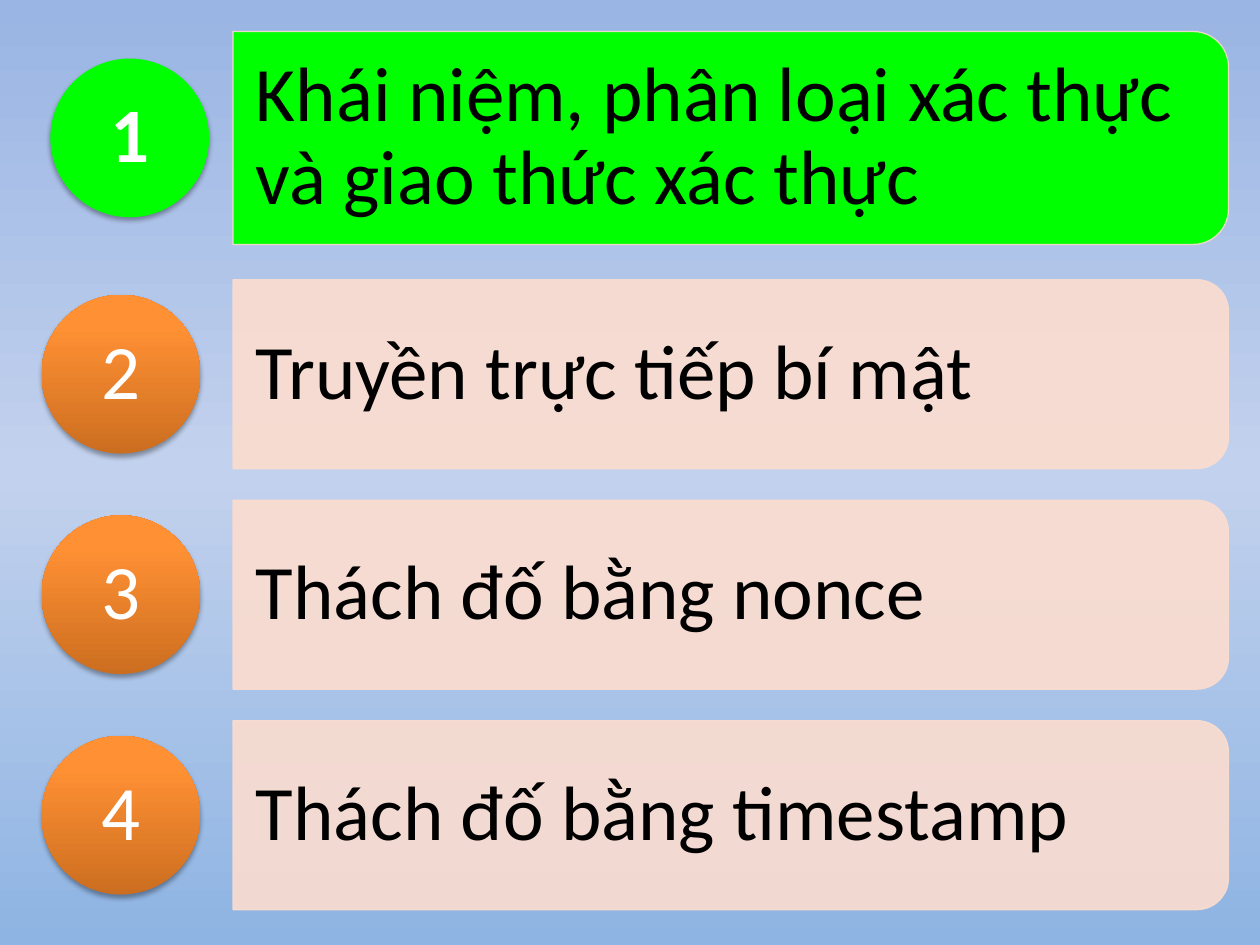
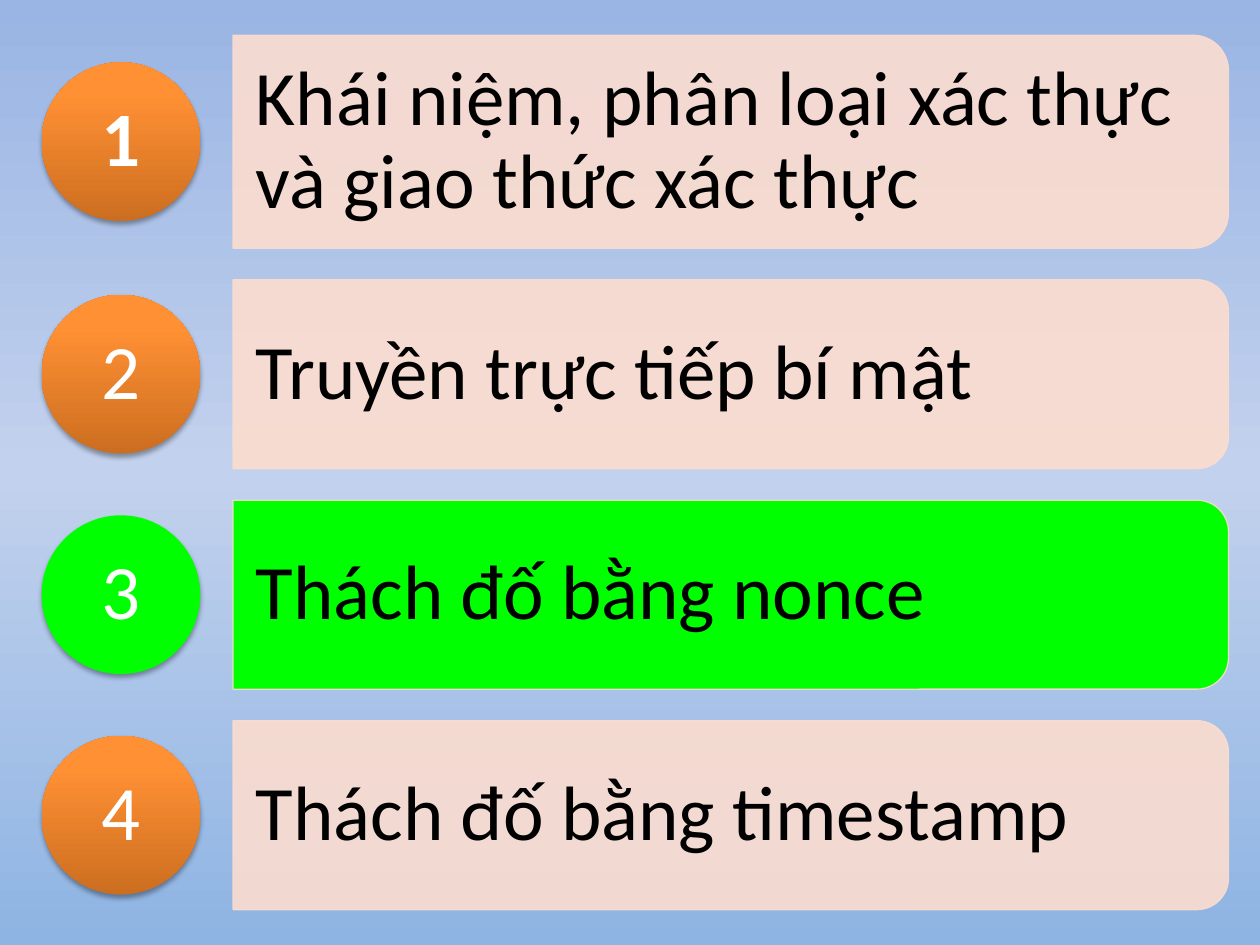
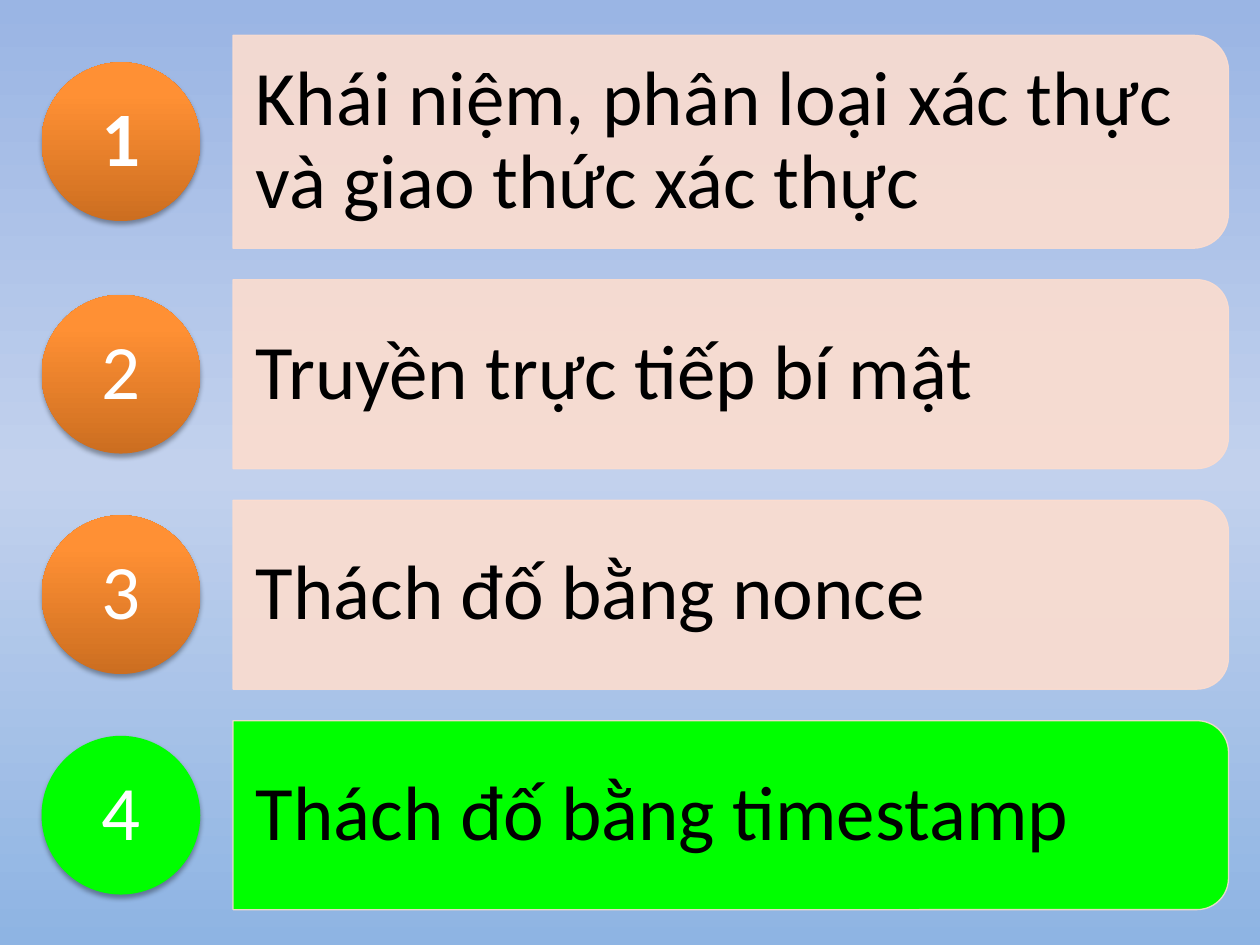
from lxml.etree import SubElement
from pptx import Presentation
from pptx.dml.color import RGBColor
from pptx.enum.shapes import MSO_SHAPE as SHAPE
from pptx.enum.text import MSO_ANCHOR as ANCHOR, PP_ALIGN as ALIGN
from pptx.oxml.ns import qn
from pptx.util import Inches, Pt

BLACK = RGBColor(0x00, 0x00, 0x00)
WHITE = RGBColor(0xFF, 0xFF, 0xFF)
GREEN = RGBColor(0x00, 0xFF, 0x00)
PEACH = RGBColor(0xFC, 0xDD, 0xCF)
SKY = ((0, RGBColor(0x9A, 0xB5, 0xE4)),
       (50, RGBColor(0xC2, 0xD1, 0xED)),
       (100, RGBColor(0x8E, 0xB4, 0xE3)))
ORANGE = ((0, RGBColor(0xCC, 0x6E, 0x20)),
          (80, RGBColor(0xFF, 0x90, 0x34)),
          (100, RGBColor(0xFF, 0x91, 0x36)))

COLS, ROWS = 100, 75
BAR_LEFT, BAR_WIDTH = 18.5, 79
BAR_TOP, BAR_GAP = 2.8, 2.5
LINE_HEIGHTS = {1: 15, 2: 16.9}
TEXT_INSET = 0.8
BADGE_LEFT, BADGE_SIZE = 3.3, 12.6

TOPICS = (
    ("Khái niệm, phân loại xác thực và giao thức xác thực", 2),
    ("Truyền trực tiếp bí mật", 1),
    ("Thách đố bằng nonce", 1),
    ("Thách đố bằng timestamp", 1),
)


def add_color(parent, color, alpha=None):
    clr = SubElement(parent, qn("a:srgbClr"), val=str(color))
    if alpha is not None:
        SubElement(clr, qn("a:alpha"), val=str(alpha * 1000))


def set_gradient(fill, element, stops, angle):
    fill.gradient()
    fill.gradient_angle = angle
    gs_list = element.find(".//" + qn("a:gsLst"))
    for gs in list(gs_list):
        gs_list.remove(gs)
    for pos, color in stops:
        add_color(SubElement(gs_list, qn("a:gs"), pos=str(pos * 1000)), color)


class Deck:
    font = "Calibri"
    size = Pt(44)

    def __init__(self):
        self.prs = Presentation()
        self.prs.slide_width, self.prs.slide_height = Inches(10), Inches(7.5)
        self.col = self.prs.slide_width / COLS
        self.row = self.prs.slide_height / ROWS
        master = self.prs.slide_master
        set_gradient(master.background.fill, master.element, SKY, 270)
        self.slide = None

    def add_slide(self):
        self.slide = self.prs.slides.add_slide(self.prs.slide_layouts[6])

    def box(self, x, y, w, h):
        return (round(x * self.col), round(y * self.row),
                round(w * self.col), round(h * self.row))

    def shape(self, kind, x, y, w, h):
        sp = self.slide.shapes.add_shape(kind, *self.box(x, y, w, h))
        sp.shadow.inherit = False
        return sp

    def set_text(self, sp, text, color, align, bold=False, margins=(0, 0)):
        tf = sp.text_frame
        tf.word_wrap = True
        tf.vertical_anchor = ANCHOR.MIDDLE
        tf.margin_left = tf.margin_right = Inches(margins[0])
        tf.margin_top = tf.margin_bottom = Inches(margins[1])
        p = tf.paragraphs[0]
        p.text = text
        p.alignment = align
        p.line_spacing = 0.9
        p.font.name, p.font.size, p.font.bold = self.font, self.size, bold
        p.font.color.rgb = color

    def bar(self, text, y, h, active):
        center_x, center_y = BAR_LEFT + BAR_WIDTH / 2, y + h / 2
        sp = self.shape(SHAPE.ROUND_2_SAME_RECTANGLE, center_x - h / 2,
                        center_y - BAR_WIDTH / 2, h, BAR_WIDTH)
        sp.rotation = 90
        sp.fill.solid()
        sp.fill.fore_color.rgb = GREEN if active else PEACH
        sp.line.color.rgb = PEACH
        sp.line.width = Pt(0.75)
        for clr in sp.element.spPr.iter(qn("a:srgbClr")):
            if clr.get("val") == str(PEACH):
                SubElement(clr, qn("a:alpha"), val="90000")
        label = self.slide.shapes.add_textbox(*self.box(
            BAR_LEFT, y + TEXT_INSET, BAR_WIDTH - TEXT_INSET, h - 2 * TEXT_INSET))
        self.set_text(label, text, BLACK, ALIGN.LEFT, margins=(0.18, 0.12))

    def badge(self, number, x, center_y, active):
        sp = self.shape(SHAPE.OVAL, x, center_y - BADGE_SIZE / 2, BADGE_SIZE, BADGE_SIZE)
        if active:
            sp.fill.solid()
            sp.fill.fore_color.rgb = GREEN
        else:
            set_gradient(sp.fill, sp.element, ORANGE, 90)
        sp.line.fill.background()
        effects = sp.element.spPr.find(qn("a:effectLst"))
        shadow = SubElement(effects, qn("a:outerShdw"), blurRad=str(Pt(3.1)),
                            dist=str(Pt(1.8)), dir="5400000", rotWithShape="0")
        add_color(shadow, BLACK, 35)
        self.set_text(sp, str(number), WHITE, ALIGN.CENTER, bold=number == 1)

    def agenda(self, current):
        self.add_slide()
        y = BAR_TOP
        for number, (text, lines) in enumerate(TOPICS, 1):
            h = LINE_HEIGHTS[lines]
            active = number == current
            shift_x, shift_y = (0.7, -0.3) if active and number == 1 else (0, 0)
            self.bar(text, y + shift_y, h, active)
            self.badge(number, BADGE_LEFT + shift_x, y + h / 2 + shift_y, active)
            y += h + BAR_GAP


def main():
    deck = Deck()
    for current in (1, 3, 4):
        deck.agenda(current)
    deck.prs.save("out.pptx")


if __name__ == "__main__":
    main()
